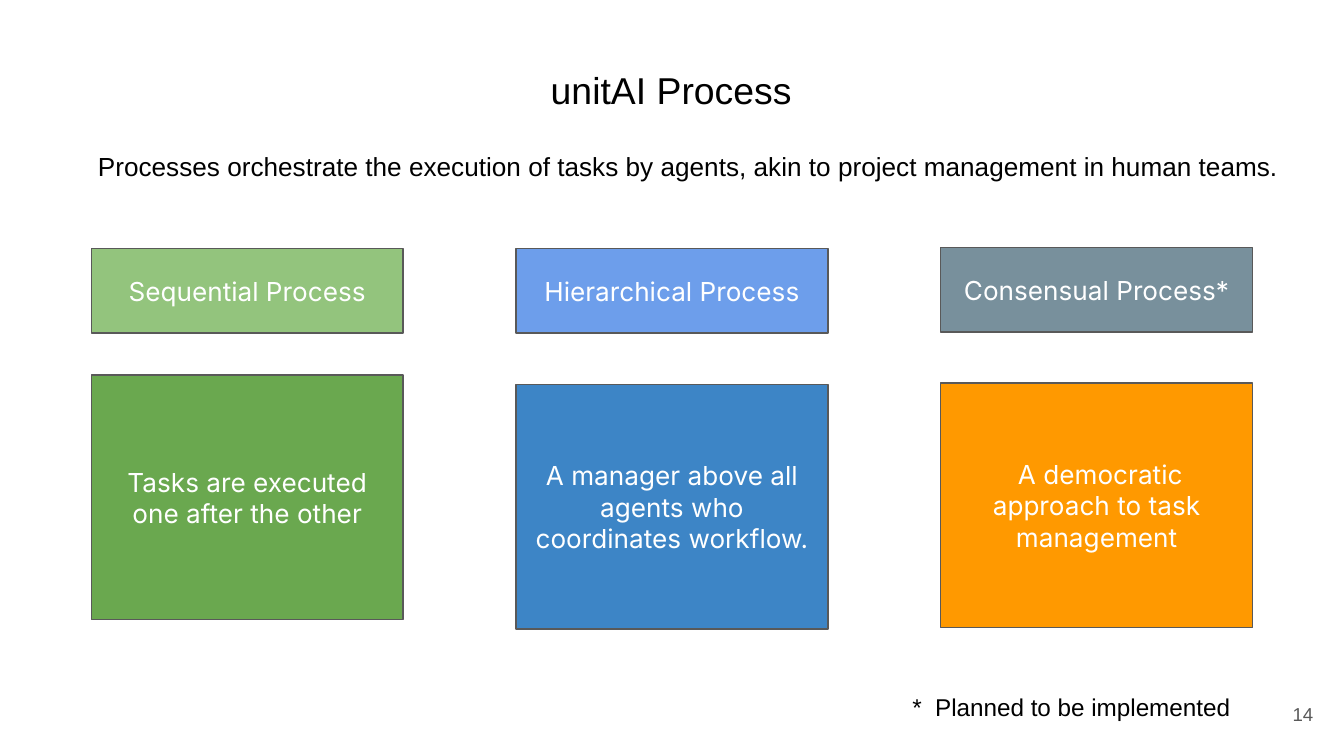
import pptx
import pptx.util
import pptx.dml.color
import pptx.enum.shapes
import pptx.enum.text

Inches = pptx.util.Inches
ALIGN = pptx.enum.text.PP_ALIGN
ANCHOR = pptx.enum.text.MSO_ANCHOR


def rgb(value):
    return pptx.dml.color.RGBColor.from_string(value)


def write(shape, text, size, font, color, align, anchor):
    frame = shape.text_frame
    frame.text = text
    frame.word_wrap = True
    frame.auto_size = pptx.enum.text.MSO_AUTO_SIZE.NONE
    frame.vertical_anchor = anchor
    frame.margin_left = frame.margin_right = Inches(0.1)
    frame.margin_top = frame.margin_bottom = Inches(0.1)
    paragraph = frame.paragraphs[0]
    paragraph.alignment = align
    run = paragraph.runs[0]
    run.font.size = pptx.util.Pt(size)
    run.font.name = font
    run.font.color.rgb = rgb(color)


# A 16:9 slide
presentation = pptx.Presentation()
presentation.slide_width = Inches(10)
presentation.slide_height = Inches(10 * 9 / 16)
slide = presentation.slides.add_slide(presentation.slide_layouts[5])

# Title
title = slide.shapes.title
title.left, title.top = Inches(0.4), Inches(0.4)
title.width, title.height = Inches(9.19), Inches(0.63)
write(title, "unitAI Process", 20, "Arial", "000000", ALIGN.CENTER, ANCHOR.TOP)

# Process columns: heading, heading fill, heading top, description, fill, top
columns = [
    ("Sequential Process", "93C47D", 1.85,
     "Tasks are executed one after the other", "6AA84F", 2.79),
    ("Hierarchical Process", "6D9EEB", 1.85,
     "A manager above all agents who coordinates workflow.", "3D85C6", 2.86),
    ("Consensual Process*", "78909C", 1.84,
     " A democratic approach to task management", "FF9900", 2.85),
]
for index, (heading, heading_fill, heading_top,
            description, description_fill, description_top) in enumerate(columns):
    left = 0.68 + index * 3.16
    for text, fill, top, height in [
        (description, description_fill, description_top, 1.82),
        (heading, heading_fill, heading_top, 0.63),
    ]:
        box = slide.shapes.add_shape(
            pptx.enum.shapes.MSO_SHAPE.RECTANGLE,
            Inches(left), Inches(top), Inches(2.32), Inches(height))
        box.shadow.inherit = False
        box.fill.solid()
        box.fill.fore_color.rgb = rgb(fill)
        box.line.color.rgb = rgb("595959")
        box.line.width = pptx.util.Pt(0.75)
        write(box, text, 14, "Inter", "FFFFFF", ALIGN.CENTER, ANCHOR.MIDDLE)

# Introduction, footnote and page number
notes = [
    ("Processes orchestrate the execution of tasks by agents, "
     "akin to project management in human teams.",
     0.63, 1.02, 9.19, 0.67, 14, "000000", ALIGN.LEFT, ANCHOR.TOP),
    ("*  Planned to be implemented",
     6.69, 5.05, 2.8, 0.42, 13, "000000", ALIGN.LEFT, ANCHOR.TOP),
    ("14", 9.27, 5.1, 0.6, 0.43, 10, "595959", ALIGN.RIGHT, ANCHOR.MIDDLE),
]
for text, left, top, width, height, size, color, align, anchor in notes:
    box = slide.shapes.add_textbox(
        Inches(left), Inches(top), Inches(width), Inches(height))
    write(box, text, size, "Arial", color, align, anchor)

presentation.save("out.pptx")
